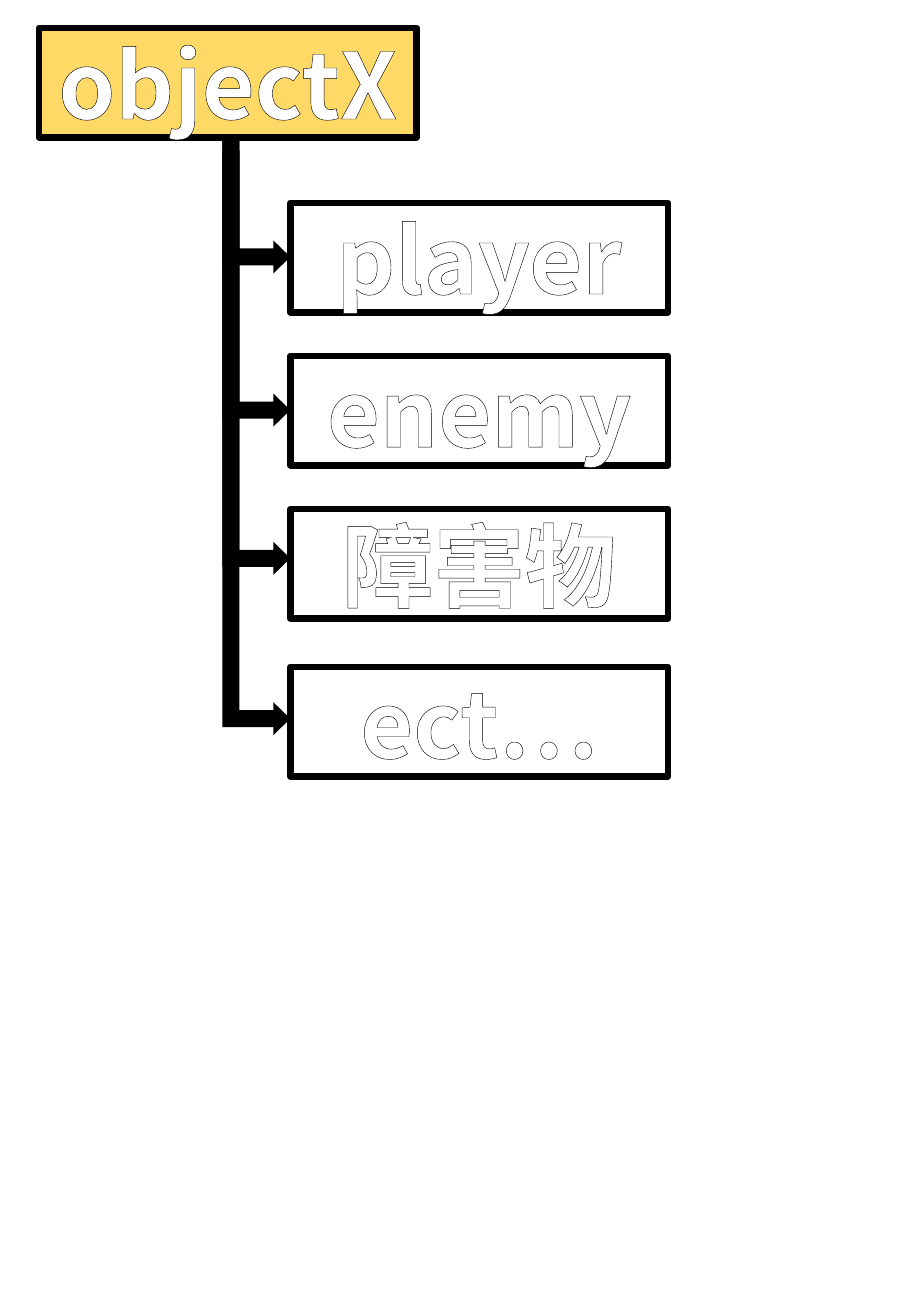
from dataclasses import dataclass

from lxml.etree import SubElement
from pptx import Presentation
from pptx.dml.color import RGBColor
from pptx.enum.shapes import MSO_SHAPE as Shape
from pptx.enum.text import MSO_ANCHOR as Anchor, PP_ALIGN as Align
from pptx.oxml.ns import qn
from pptx.util import Inches, Pt


@dataclass(frozen=True)
class Theme:
    black: RGBColor = RGBColor(0x00, 0x00, 0x00)
    white: RGBColor = RGBColor(0xFF, 0xFF, 0xFF)
    yellow: RGBColor = RGBColor(0xFF, 0xD9, 0x66)
    font: str = "Noto Sans CJK JP"
    label_size: Pt = Pt(54)
    text_outline: Pt = Pt(2)
    border: Pt = Pt(4)


THEME = Theme()
BOX_WIDTH, BOX_HEIGHT = 3.11, 0.9
ROOT_LEFT, ROOT_TOP = 0.32, 0.23
CHILD_INDENT = 2.07
ARROW_DEPTH = 0.56
ARROW_ADJUSTMENTS = (0.25, 0.242, 0.25)

# Label, box top, arrow top and arrow length of each child
CHILDREN = [
    ("player", 1.67, 1.06, 1.19),
    ("enemy", 2.93, 1.12, 2.39),
    ("障害物", 4.19, 1.24, 3.49),
    ("ect…", 5.49, 1.24, 4.81),
]


def style_label(run):
    """White bold text with a black outline."""
    font = run.font
    font.name, font.size, font.bold = THEME.font, THEME.label_size, True
    font.fill.solid()
    font.fill.fore_color.rgb = THEME.white
    properties = run._r.get_or_add_rPr()
    SubElement(properties, qn("a:ea"), typeface=THEME.font)
    outline = SubElement(properties, qn("a:ln"), w=str(THEME.text_outline))
    solid = SubElement(outline, qn("a:solidFill"))
    SubElement(solid, qn("a:srgbClr"), val=str(THEME.black))
    properties.insert(0, outline)


def add_box(slide, left, top, label, fill):
    shape = slide.shapes.add_shape(
        Shape.RECTANGLE, Inches(left), Inches(top), Inches(BOX_WIDTH), Inches(BOX_HEIGHT))
    shape.shadow.inherit = False
    shape.fill.solid()
    shape.fill.fore_color.rgb = fill
    shape.line.color.rgb = THEME.black
    shape.line.width = THEME.border
    shape.text_frame.vertical_anchor = Anchor.MIDDLE
    paragraph = shape.text_frame.paragraphs[0]
    paragraph.alignment = Align.CENTER
    run = paragraph.add_run()
    run.text = label
    style_label(run)


def add_branch_arrow(slide, right, top, length):
    """Arrow going down, then right; it is turned about its centre."""
    left = right - (ARROW_DEPTH + length) / 2
    unturned_top = top + (length - ARROW_DEPTH) / 2
    shape = slide.shapes.add_shape(
        Shape.BENT_UP_ARROW, Inches(left), Inches(unturned_top),
        Inches(length), Inches(ARROW_DEPTH))
    shape.rotation = 90
    for index, value in enumerate(ARROW_ADJUSTMENTS):
        shape.adjustments[index] = value
    shape.shadow.inherit = False
    shape.fill.solid()
    shape.fill.fore_color.rgb = THEME.black
    shape.line.fill.background()


def add_object_tree(slide, left, top):
    child_left = left + CHILD_INDENT
    # Arrows lie behind the boxes
    for _, _, arrow_top, length in CHILDREN:
        add_branch_arrow(slide, child_left, arrow_top, length)
    # Parent and children
    add_box(slide, left, top, "objectX", THEME.yellow)
    for label, box_top, _, _ in CHILDREN:
        add_box(slide, child_left, box_top, label, THEME.white)


def main():
    presentation = Presentation()
    presentation.slide_width = Inches(7.5)
    presentation.slide_height = Inches(10.83)
    slide = presentation.slides.add_slide(presentation.slide_layouts[6])
    add_object_tree(slide, ROOT_LEFT, ROOT_TOP)
    presentation.save("out.pptx")


if __name__ == "__main__":
    main()
